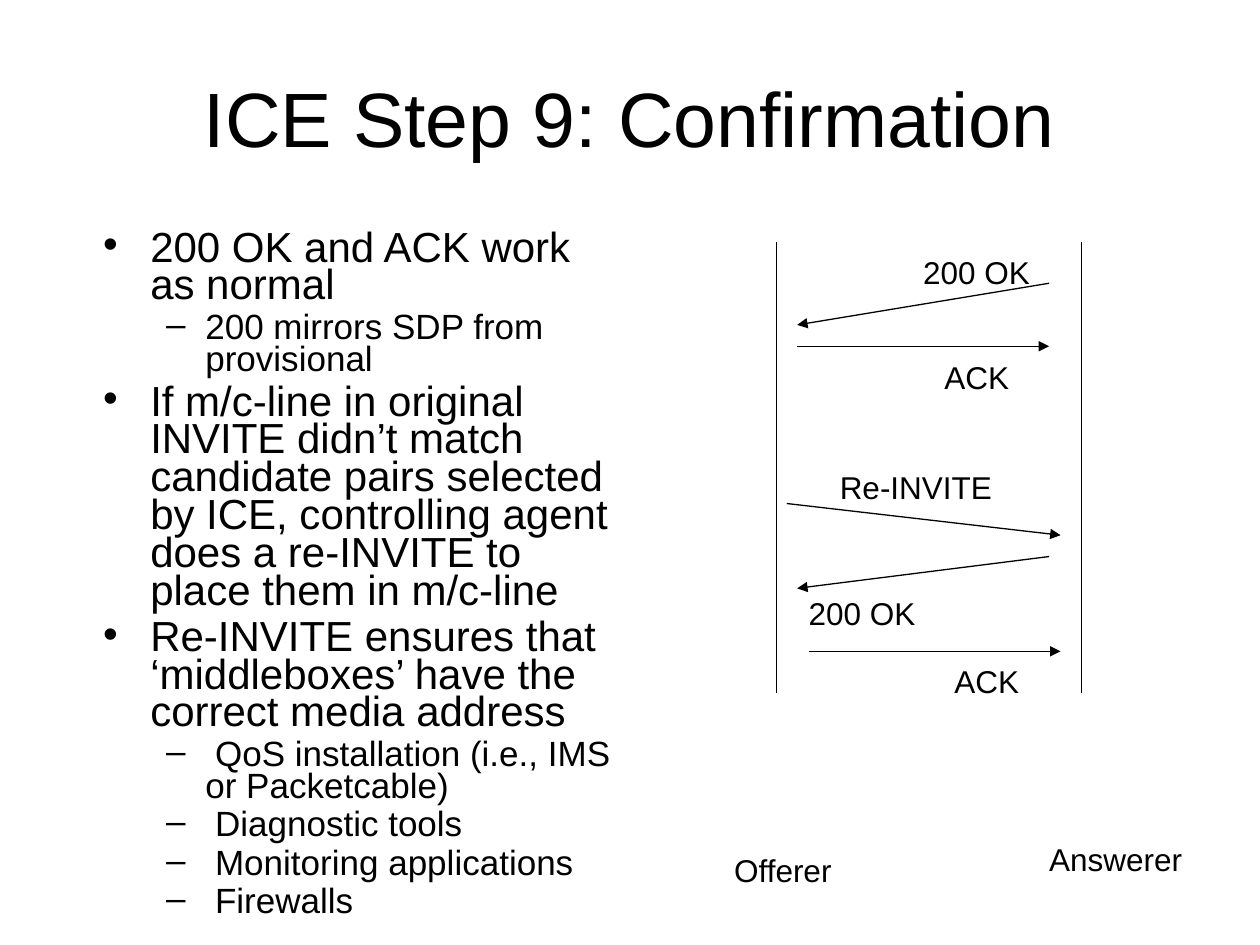
from dataclasses import dataclass

from lxml.etree import SubElement
from pptx import Presentation
from pptx.dml.color import RGBColor
from pptx.enum.shapes import MSO_CONNECTOR
from pptx.enum.text import MSO_ANCHOR, MSO_AUTO_SIZE, PP_ALIGN
from pptx.oxml.ns import qn
from pptx.util import Cm, Pt


@dataclass(frozen=True)
class Theme:
    font: str = "Arial"
    ink: RGBColor = RGBColor(0, 0, 0)
    paper: RGBColor = RGBColor(255, 255, 255)
    title: int = 44
    levels: tuple = (24, 20)
    label: int = 18
    line: float = 0.75


THEME = Theme()

# Per level: left margin and hanging indent in cm, bullet sign
BULLETS = ((0.95, 0.95, "•"), (2.06, 0.79, "–"))

POINTS = (
    (0, "200 OK and ACK work as normal"),
    (1, "200 mirrors SDP from provisional"),
    (0, "If m/c-line in original INVITE didn’t match candidate pairs "
        "selected by ICE, controlling agent does a re-INVITE to place "
        "them in m/c-line"),
    (0, "Re-INVITE ensures that ‘middleboxes’ have the correct media address"),
    (1, " QoS installation (i.e., IMS or Packetcable)"),
    (1, " Diagnostic tools"),
    (1, " Monitoring applications"),
    (1, " Firewalls"),
)

# Arrow start and end, then label text, place and width, in cm from the box
MESSAGES = (
    ((5.49, 0.84), (0.41, 1.68), "200 OK", (2.72, 0.12), 2.65),
    ((0.41, 2.11), (5.49, 2.11), "ACK", (3.15, 2.24), 1.8),
    ((0.2, 5.28), (5.72, 5.92), "Re-INVITE", (1.04, 4.45), 3.55),
    ((5.49, 6.35), (0.41, 6.99), "200 OK", (0.41, 6.99), 2.65),
    ((0.64, 8.26), (5.72, 8.26), "ACK", (3.35, 8.36), 1.8),
)
PARTIES = (("Offerer", (-1.09, 12.17), 2.45),
           ("Answerer", (5.26, 11.96), 3.2))


def add_frame(slide, box, wrap=True):
    frame = slide.shapes.add_textbox(*map(Cm, box)).text_frame
    frame.word_wrap = wrap
    return frame


def add_run(para, text, size):
    run = para.add_run()
    run.text = text
    run.font.name = THEME.font
    run.font.size = Pt(size)
    run.font.color.rgb = THEME.ink


def add_title(slide, box, text):
    frame = add_frame(slide, box)
    frame.vertical_anchor = MSO_ANCHOR.MIDDLE
    para = frame.paragraphs[0]
    para.alignment = PP_ALIGN.CENTER
    add_run(para, text, THEME.title)


def set_bullet(para, level):
    left, hang, sign = BULLETS[level]
    props = para._p.get_or_add_pPr()
    props.set("marL", str(Cm(left)))
    props.set("indent", str(-Cm(hang)))
    SubElement(props, qn("a:buFont"), typeface=THEME.font)
    SubElement(props, qn("a:buChar"), char=sign)


def add_points(slide, box, points):
    frame = add_frame(slide, box)
    for i, (level, text) in enumerate(points):
        para = frame.add_paragraph() if i else frame.paragraphs[0]
        size = THEME.levels[level]
        set_bullet(para, level)
        para.level = level
        para.line_spacing = 0.75
        if i:
            para.space_before = Pt(size * 0.2)
        add_run(para, text, size)


def add_line(slide, start, end, arrow=False):
    line = slide.shapes.add_connector(
        MSO_CONNECTOR.STRAIGHT, *map(Cm, (*start, *end)))
    line.line.color.rgb = THEME.ink
    line.line.width = Pt(THEME.line)
    if arrow:
        SubElement(line.line._get_or_add_ln(), qn("a:tailEnd"),
                   type="triangle")
    SubElement(line._element.spPr, qn("a:effectLst"))


def add_label(slide, text, spot, width):
    frame = add_frame(slide, (*spot, width, 0.99), wrap=False)
    frame.auto_size = MSO_AUTO_SIZE.SHAPE_TO_FIT_TEXT
    frame.margin_left = frame.margin_right = Cm(0.23)
    frame.margin_top = frame.margin_bottom = Cm(0.11)
    add_run(frame.paragraphs[0], text, THEME.label)


def add_flow(slide, box):
    """Draw the message sequence between two lifelines at the box sides."""
    left, top, width, height = box

    def place(point):
        return left + point[0], top + point[1]

    for x in (0, width):
        add_line(slide, place((x, 0)), place((x, height)))
    for start, end, text, spot, span in MESSAGES:
        add_line(slide, place(start), place(end), arrow=True)
        add_label(slide, text, place(spot), span)
    for text, spot, span in PARTIES:
        add_label(slide, text, place(spot), span)


def main():
    deck = Presentation()
    deck.slide_width, deck.slide_height = Cm(25.4), Cm(19.05)
    slide = deck.slides.add_slide(deck.slide_layouts[6])
    fill = slide.background.fill
    fill.solid()
    fill.fore_color.rgb = THEME.paper
    add_title(slide, (1.27, 0.76, 22.86, 3.18), "ICE Step 9: Confirmation")
    add_points(slide, (1.83, 4.55, 10.82, 10.9), POINTS)
    add_flow(slide, (15.66, 4.87, 6.14, 9.1))
    deck.save("out.pptx")


if __name__ == "__main__":
    main()
